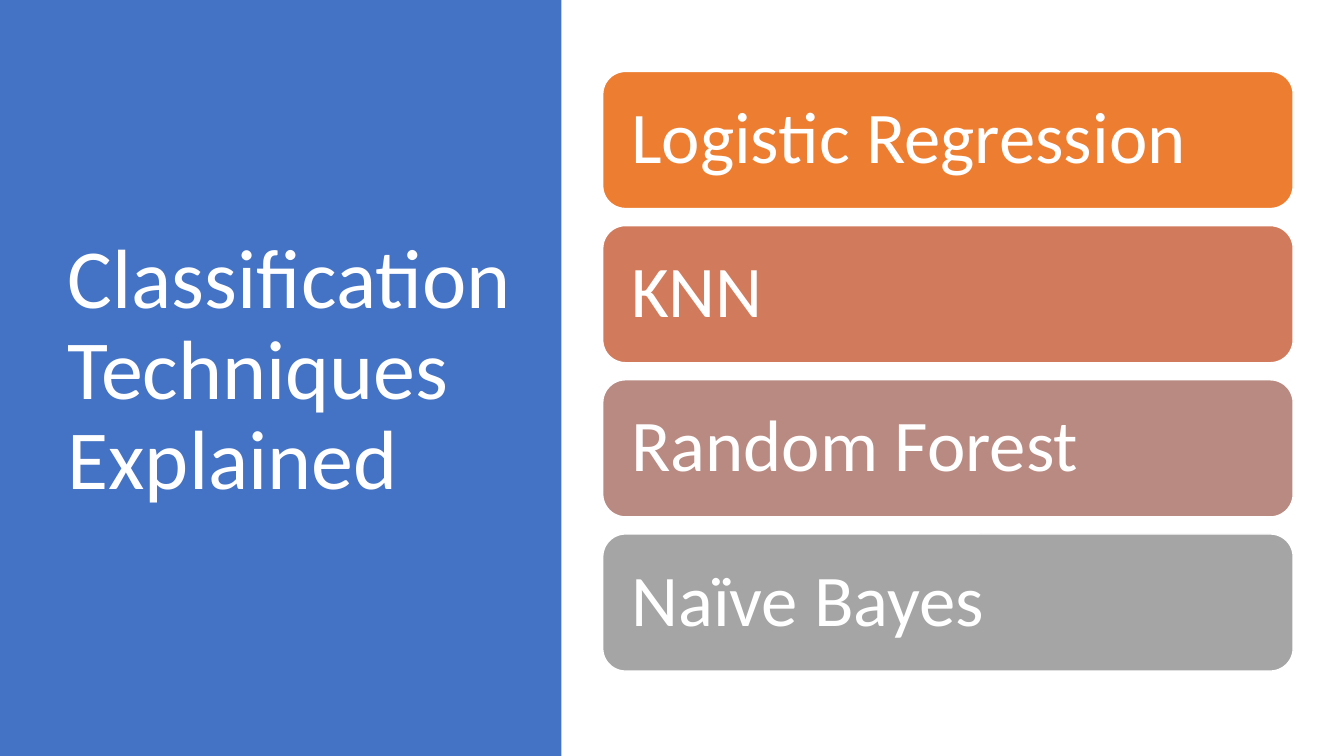
from pptx import Presentation
from pptx.dml.color import RGBColor
from pptx.enum import shapes, text
from pptx.util import Cm, Pt

WHITE = RGBColor(0xFF, 0xFF, 0xFF)
BLUE = RGBColor(0x44, 0x72, 0xC4)
ORANGE = RGBColor(0xED, 0x7D, 0x31)
CORAL = RGBColor(0xD1, 0x7B, 0x5C)
ROSE = RGBColor(0xB9, 0x8A, 0x82)
GRAY = RGBColor(0xA5, 0xA5, 0xA5)

WIDE, HIGH = 33.87, 19.05
TOPICS = [
    ("Logistic Regression", ORANGE),
    ("KNN", CORAL),
    ("Random Forest", ROSE),
    ("Naïve Bayes", GRAY),
]


def add_box(slide, kind, box, fill):
    shape = slide.shapes.add_shape(kind, *map(Cm, box))
    shape.shadow.inherit = False
    shape.fill.solid()
    shape.fill.fore_color.rgb = fill
    return shape


def set_text(frame, words, size):
    frame.text = words
    frame.word_wrap = True
    frame.auto_size = text.MSO_AUTO_SIZE.NONE
    frame.vertical_anchor = text.MSO_ANCHOR.MIDDLE
    para = frame.paragraphs[0]
    para.alignment = text.PP_ALIGN.LEFT
    para.line_spacing = 0.9
    for run in para.runs:
        run.font.name = "Calibri"
        run.font.size = Pt(size)
        run.font.color.rgb = WHITE


def add_panel(slide, box):
    """Blue panel with the slide title on it."""
    left, top, width, height = box
    panel = add_box(slide, shapes.MSO_SHAPE.RECTANGLE, box, BLUE)
    panel.line.fill.background()

    title = slide.shapes.title
    title.left, title.top = Cm(left + 1.45), Cm(top + 1.73)
    title.width, title.height = Cm(width - 2.47), Cm(height - 3.76)
    set_text(title.text_frame, "Classification Techniques\vExplained", 60)
    # Keep the panel behind the title
    title.element.addprevious(panel.element)


def add_bars(slide, box, topics, gap=0.43):
    """Stack of equal rounded bars, one per topic."""
    left, top, width, height = box
    tall = (height - gap * (len(topics) - 1)) / len(topics)
    for i, (name, color) in enumerate(topics):
        place = (left, top + i * (tall + gap), width, tall)
        bar = add_box(slide, shapes.MSO_SHAPE.ROUNDED_RECTANGLE, place, color)
        bar.line.color.rgb = WHITE
        bar.line.width = Pt(1)
        frame = bar.text_frame
        frame.margin_left = frame.margin_right = Cm(0.55)
        frame.margin_top = frame.margin_bottom = Cm(0.55)
        set_text(frame, name, 52)


def main():
    deck = Presentation()
    deck.slide_width, deck.slide_height = Cm(WIDE), Cm(HIGH)
    slide = deck.slides.add_slide(deck.slide_layouts.get_by_name("Title Only"))
    add_panel(slide, (0, 0, 14.15, HIGH))
    add_bars(slide, (15.19, 1.8, 17.4, 15.11), TOPICS)
    deck.save("out.pptx")


if __name__ == "__main__":
    main()
